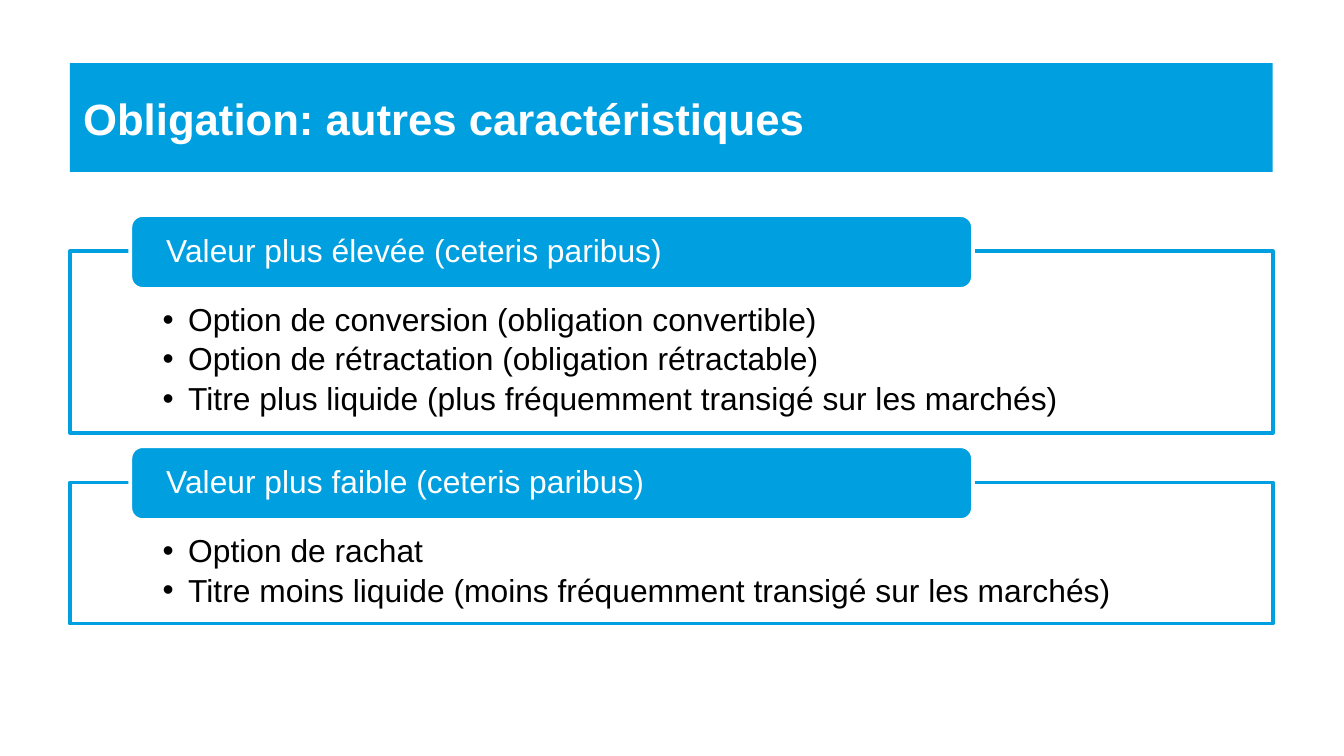
from lxml.etree import SubElement
from pptx import Presentation
from pptx.dml.color import RGBColor
from pptx.enum.shapes import MSO_SHAPE
from pptx.enum.text import MSO_ANCHOR, PP_ALIGN
from pptx.oxml.ns import qn
from pptx.util import Inches, Pt

BLUE, WHITE, BLACK = "009FDF", "FFFFFF", "000000"
LEFT, WIDTH = 0.52, 8.95
LABEL_HEIGHT = 0.55
LABEL_RISE = 0.27  # how far a label stands above its frame

SECTIONS = [
    (1.87, 1.35, "Valeur plus élevée (ceteris paribus)", [
        "Option de conversion (obligation convertible)",
        "Option de rétractation (obligation rétractable)",
        "Titre plus liquide (plus fréquemment transigé sur les marchés)",
    ]),
    (3.59, 1.05, "Valeur plus faible (ceteris paribus)", [
        "Option de rachat",
        "Titre moins liquide (moins fréquemment transigé sur les marchés)",
    ]),
]


def color(value):
    return RGBColor.from_string(value)


def add_box(page, kind, place, fill, line=None):
    box = page.shapes.add_shape(kind, *[Inches(length) for length in place])
    box.shadow.inherit = False
    box.fill.solid()
    box.fill.fore_color.rgb = color(fill)
    if line:
        box.line.color.rgb = color(line)
        box.line.width = Pt(2)
    else:
        box.line.fill.background()
    return box


def set_frame(box, anchor, side, top, bottom):
    """Set the anchor and the insets, in inches, of the box's text."""
    frame = box.text_frame
    frame.word_wrap = True
    frame.vertical_anchor = anchor
    frame.margin_left = frame.margin_right = Inches(side)
    frame.margin_top, frame.margin_bottom = Inches(top), Inches(bottom)
    return frame


def add_bullet(para):
    properties = para._p.get_or_add_pPr()
    properties.set("marL", str(Inches(0.19)))
    properties.set("indent", str(Inches(-0.19)))
    SubElement(properties, qn("a:buFont"), typeface="Arial")
    SubElement(properties, qn("a:buChar"), char="•")


def write(para, text, size, ink, bold=False):
    para.alignment = PP_ALIGN.LEFT
    span = para.add_run()
    span.text = text
    span.font.name = "Arial"
    span.font.size = Pt(size)
    span.font.bold = bold
    span.font.color.rgb = color(ink)


def add_title(page, text):
    box = add_box(page, MSO_SHAPE.RECTANGLE, (LEFT, 0.47, WIDTH, 0.81), BLUE)
    frame = set_frame(box, MSO_ANCHOR.MIDDLE, 0.1, 0.05, 0.05)
    write(frame.paragraphs[0], text, 23.4, WHITE, bold=True)


def add_list(page, top, height, items):
    box = add_box(page, MSO_SHAPE.RECTANGLE, (LEFT, top, WIDTH, height), WHITE, BLUE)
    frame = set_frame(box, MSO_ANCHOR.TOP, 0.69, 0.39, 0.13)
    for index, item in enumerate(items):
        para = frame.add_paragraph() if index else frame.paragraphs[0]
        add_bullet(para)
        para.line_spacing = 0.9
        para.space_after = Pt(2.9)
        write(para, item, 17, BLACK)


def add_label(page, top, text):
    place = (0.97, top, 6.27, LABEL_HEIGHT)
    box = add_box(page, MSO_SHAPE.ROUNDED_RECTANGLE, place, BLUE, WHITE)
    frame = set_frame(box, MSO_ANCHOR.MIDDLE, 0.24, 0, 0)
    para = frame.paragraphs[0]
    para.line_spacing = 0.9
    write(para, text, 17, WHITE)


def main():
    deck = Presentation()
    deck.slide_width = Inches(10)
    deck.slide_height = Inches(10 * 9 / 16)
    page = deck.slides.add_slide(deck.slide_layouts[6])
    add_title(page, "Obligation: autres caractéristiques")
    for top, height, label, items in SECTIONS:
        add_list(page, top, height, items)
        add_label(page, top - LABEL_RISE, label)
    deck.save("out.pptx")


if __name__ == "__main__":
    main()
